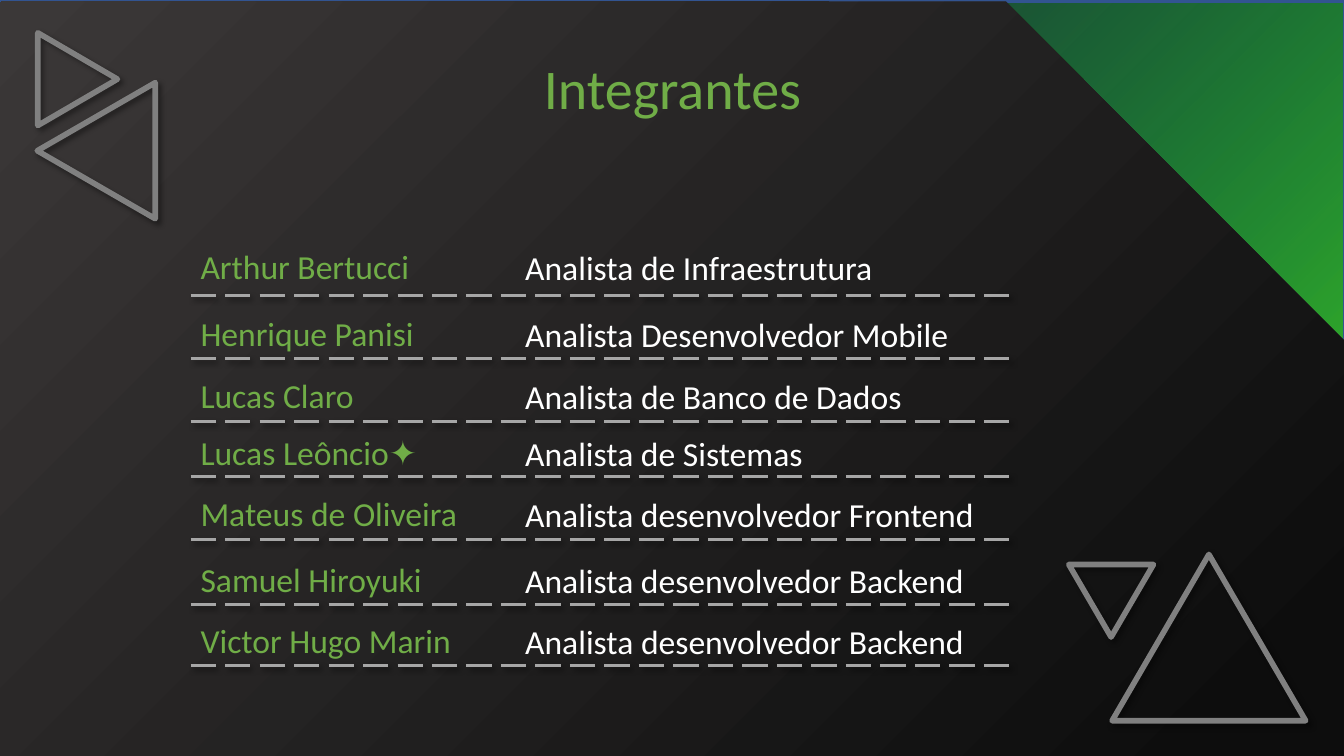
from dataclasses import dataclass

from lxml import etree
from pptx import Presentation
from pptx.dml.color import RGBColor
from pptx.enum.dml import MSO_LINE
from pptx.enum.shapes import MSO_CONNECTOR, MSO_SHAPE
from pptx.enum.text import MSO_AUTO_SIZE, PP_ALIGN
from pptx.oxml.ns import qn
from pptx.util import Inches, Pt

RECTANGLE = MSO_SHAPE.RECTANGLE
TRIANGLE = MSO_SHAPE.ISOSCELES_TRIANGLE
STRAIGHT = MSO_CONNECTOR.STRAIGHT
LONG_DASH = MSO_LINE.LONG_DASH
FIT_TEXT = MSO_AUTO_SIZE.SHAPE_TO_FIT_TEXT
LEFT, CENTER = PP_ALIGN.LEFT, PP_ALIGN.CENTER


@dataclass(frozen=True)
class Theme:
    font: str = "Calibri"
    title_size: int = 40
    body_size: int = 24
    accent: str = "70AD47"
    white: str = "FFFFFF"
    border: str = "325491"
    divider: str = "A6A6A6"
    outline: str = "808080"
    shadow: str = "000000"
    # Gradient stops: position, colour, opacity in percent
    dark: tuple = ((0, "3B3838", 100), (0.94, "0D0D0D", 100))
    green: tuple = ((0, "37B62A", 100), (1, "08A35C", 25))


THEME = Theme()
WIDTH, HEIGHT = 13.33, 7.5
NAME_LEFT, ROLE_LEFT, DIVIDER_RIGHT = 1.89, 5.11, 10.08
ROW_HEIGHT = 0.5

# Name, name width, role, role width, row top, divider position
MEMBERS = [
    ("Arthur Bertucci", 2.51, "Analista de Infraestrutura", 6.48, 2.39, 2.93),
    ("Henrique Panisi", 2.51, "Analista Desenvolvedor Mobile", 4.98, 3.06, 3.56),
    ("Lucas Claro", 2.51, "Analista de Banco de Dados", 4.08, 3.67, 4.18),
    ("Lucas Leôncio✦", 2.51, "Analista de Sistemas", 4.24, 4.24, 4.73),
    ("Mateus de Oliveira", 3.41, "Analista desenvolvedor Frontend", 5.1, 4.84, 5.35),
    ("Samuel Hiroyuki", 2.51, "Analista desenvolvedor Backend", 5.1, 5.5, 6.0),
    ("Victor Hugo Marin", 2.92, "Analista desenvolvedor Backend", 4.71, 6.1, 6.6),
]

# Left, top, width, height, rotation
TRIANGLES = [
    (11.03, 5.5, 1.92, 1.65, 0),
    (10.6, 5.6, 0.84, 0.72, 180),
    (0.31, 0.39, 0.92, 0.79, 90),
    (0.28, 0.91, 1.35, 1.17, 270),
]

PANEL_CONTOURS = [
    [(11.99, 5.51), (11.03, 7.17), (12.95, 7.17)],
    [(0.37, 0.31), (0.37, 1.23), (1.17, 0.77)],
    [(0, 0.02), (9.98, 0.02), (13.33, 3.38), (13.33, 7.52), (0, 7.52)],
]


def rgb(value):
    return RGBColor.from_string(value)


def add_shadow(properties):
    """Append a soft shadow to shape or run properties."""
    effects = etree.SubElement(properties, qn("a:effectLst"))
    shadow = etree.SubElement(
        effects, qn("a:outerShdw"), blurRad=str(Pt(4)), dist=str(Pt(3)),
        dir=str(45 * 60000), algn="tl", rotWithShape="0")
    color = etree.SubElement(shadow, qn("a:srgbClr"), val=THEME.shadow)
    etree.SubElement(color, qn("a:alpha"), val="40000")


def fill_gradient(shape, stops, angle):
    """Fill with a gradient; the angle runs counterclockwise."""
    shape.fill.gradient()
    shape.fill.gradient_angle = angle
    for stop, (position, color, opacity) in zip(shape.fill.gradient_stops, stops):
        stop.position = position
        stop.color.rgb = rgb(color)
        if opacity < 100:
            for element in stop._gs.iter(qn("a:srgbClr")):
                etree.SubElement(element, qn("a:alpha"), val=str(opacity * 1000))


def add_background(slide, left, top, width, height, stops, angle):
    shape = slide.shapes.add_shape(
        RECTANGLE, Inches(left), Inches(top), Inches(width), Inches(height))
    shape.shadow.inherit = False
    fill_gradient(shape, stops, angle)
    shape.line.color.rgb = rgb(THEME.border)
    shape.line.width = Pt(1)


def add_panel(slide):
    """Add the dark panel with a cut corner and two triangular holes."""
    contours = [[(Inches(x), Inches(y)) for x, y in points] for points in PANEL_CONTOURS]
    builder = slide.shapes.build_freeform(*contours[0][0])
    for index, points in enumerate(contours):
        if index:
            builder.move_to(*points[0])
        builder.add_line_segments(points[1:], close=True)
    shape = builder.convert_to_shape()
    shape.shadow.inherit = False
    fill_gradient(shape, THEME.dark, 315)
    shape.line.fill.background()


def add_text(slide, text, left, top, width, height, size, color, alignment=LEFT):
    box = slide.shapes.add_textbox(
        Inches(left), Inches(top), Inches(width), Inches(height))
    frame = box.text_frame
    frame.word_wrap = True
    frame.auto_size = FIT_TEXT
    paragraph = frame.paragraphs[0]
    paragraph.alignment = alignment
    run = paragraph.add_run()
    run.text = text
    run.font.size = Pt(size)
    run.font.color.rgb = rgb(color)
    add_shadow(run._r.get_or_add_rPr())
    run.font.name = THEME.font


def add_divider(slide, y):
    line = slide.shapes.add_connector(
        STRAIGHT, Inches(NAME_LEFT), Inches(y), Inches(DIVIDER_RIGHT), Inches(y))
    line.line.color.rgb = rgb(THEME.divider)
    line.line.width = Pt(2.25)
    line.line.dash_style = LONG_DASH
    add_shadow(line._element.spPr)


def add_triangle(slide, left, top, width, height, rotation):
    shape = slide.shapes.add_shape(
        TRIANGLE, Inches(left), Inches(top), Inches(width), Inches(height))
    shape.rotation = rotation
    shape.fill.background()
    shape.line.color.rgb = rgb(THEME.outline)
    shape.line.width = Pt(4)
    add_shadow(shape._element.spPr)


def main():
    presentation = Presentation()
    presentation.slide_width = Inches(WIDTH)
    presentation.slide_height = Inches(HEIGHT)
    slide = presentation.slides.add_slide(presentation.slide_layouts[6])

    add_background(slide, 0, 0, WIDTH, HEIGHT, THEME.dark, 315)
    add_background(slide, 8.23, 0.02, 5.1, 4.54, THEME.green, 135)
    add_panel(slide)
    add_text(slide, "Integrantes", 3.83, 0.48, 5.68, 0.77,
             THEME.title_size, THEME.accent, CENTER)
    for name, name_width, role, role_width, top, divider in MEMBERS:
        add_text(slide, name, NAME_LEFT, top, name_width, ROW_HEIGHT,
                 THEME.body_size, THEME.accent)
        add_divider(slide, divider)
        add_text(slide, role, ROLE_LEFT, top + 0.01, role_width, ROW_HEIGHT,
                 THEME.body_size, THEME.white)
    for triangle in TRIANGLES:
        add_triangle(slide, *triangle)

    presentation.save("out.pptx")


if __name__ == "__main__":
    main()
